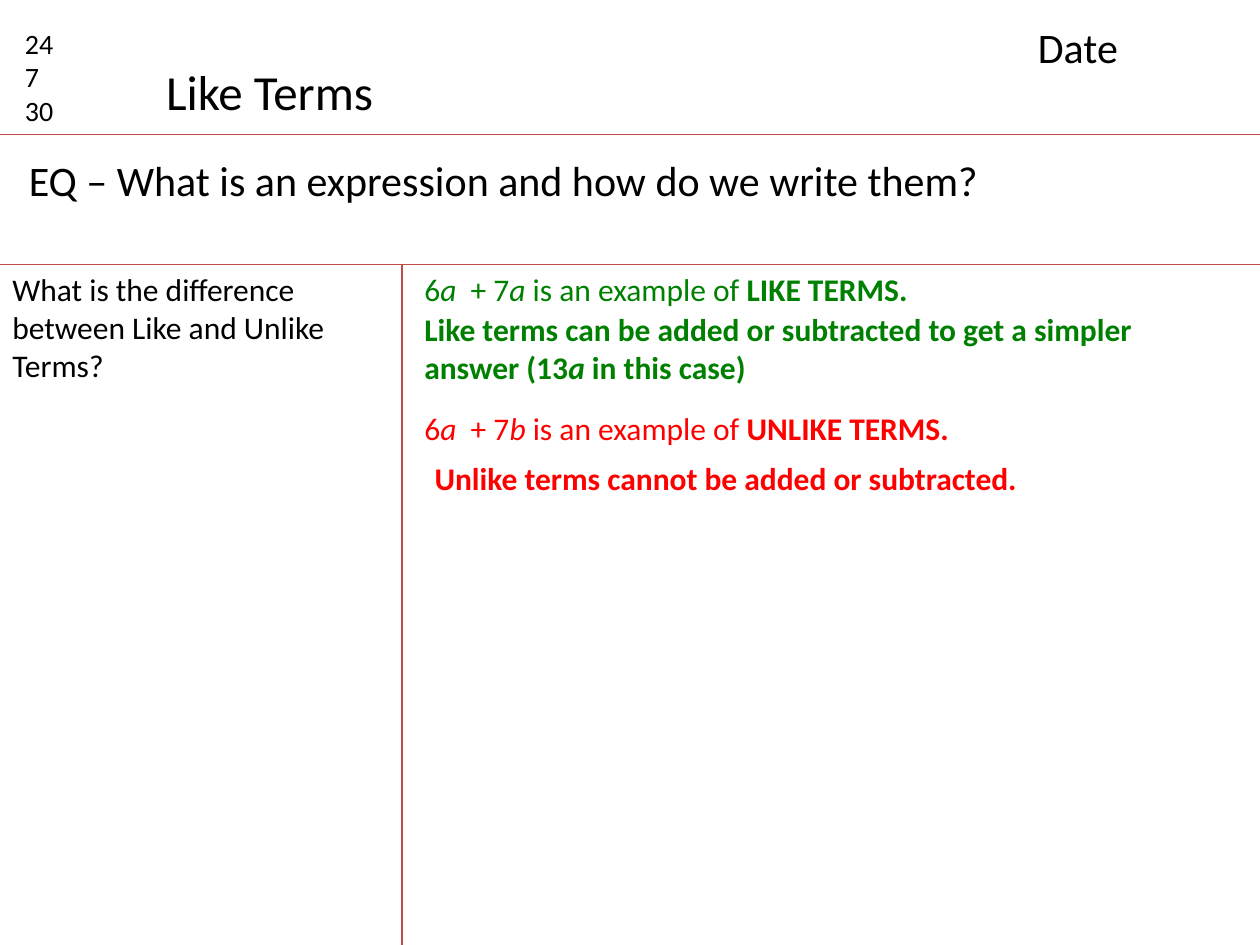
from pptx import Presentation
from pptx.dml.color import RGBColor
from pptx.enum.shapes import MSO_CONNECTOR
from pptx.enum.text import MSO_AUTO_SIZE
from pptx.oxml.ns import qn
from pptx.util import Pt
from lxml import etree

STRAIGHT = MSO_CONNECTOR.STRAIGHT
GROW = MSO_AUTO_SIZE.SHAPE_TO_FIT_TEXT

WIDE, HIGH = 720, 540
HEAD, BODY, SPLIT = 77, 151, 229.7
NOTE = 235.4
BLACK, GREEN, RED, RULE = "000000", "008000", "FF0000", "BF4C48"


def color(code):
    return RGBColor.from_string(code)


class Page:
    face = "Calibri"

    def __init__(self, slide):
        self.slide = slide

    def line(self, x1, y1, x2, y2):
        rule = self.slide.shapes.add_connector(
            STRAIGHT, Pt(x1), Pt(y1), Pt(x2), Pt(y2))
        rule.line.color.rgb = color(RULE)
        rule.line.width = Pt(0.75)
        etree.SubElement(rule._element.spPr, qn("a:effectLst"))

    def text(self, box, paras, size, ink=BLACK, wrap=True):
        """Each paragraph is a list of (words, marks); marks hold b and i."""
        shape = self.slide.shapes.add_textbox(*map(Pt, box))
        frame = shape.text_frame
        frame.word_wrap = wrap
        frame.auto_size = GROW
        for n, runs in enumerate(paras):
            para = frame.add_paragraph() if n else frame.paragraphs[0]
            for words, marks in runs:
                run = para.add_run()
                run.text = words
                style = {"name": self.face, "size": Pt(size),
                         "bold": "b" in marks, "italic": "i" in marks}
                for key, value in style.items():
                    setattr(run.font, key, value)
                run.font.color.rgb = color(ink)

    def sample(self, top, width, letter, kind, ink):
        """Show a sum of two terms and name its kind."""
        runs = [("6", ""), ("a", "i"), ("  + 7", ""), (letter, "i"),
                (" is an example of ", ""), (kind, "b")]
        self.text((NOTE, top, width, 29), [runs], 18, ink)


def main():
    deck = Presentation()
    deck.slide_width, deck.slide_height = Pt(WIDE), Pt(HIGH)
    page = Page(deck.slides.add_slide(deck.slide_layouts[6]))

    for y in (HEAD, BODY):
        page.line(0, y, WIDE, y)
    page.line(SPLIT, BODY, SPLIT, HIGH)

    page.text((7.2, 11.5, 45.4, 65.5),
              [[(num, "")] for num in ("24", "7", "30")], 16)
    page.text((87.8, 31.7, 134, 41), [[("Like Terms", "")]], 28, wrap=False)
    page.text((586, 8.6, 124.6, 36), [[("Date", "")]], 24)
    page.text((9.4, 85, 679, 36), [[(
        "EQ – What is an expression and how do we write them?", "")]], 24)
    page.text((0, BODY, SPLIT, 72.7), [[(
        "What is the difference between Like and Unlike Terms?", "")]], 18)

    page.sample(BODY, 295.2, "a", "LIKE TERMS.", GREEN)
    page.text((NOTE, 173.5, 471, 65.5), [[
        ("Like terms can be added or subtracted to get a simpler answer (13",
         "b"), ("a", "bi"), (" in this case)", "b")]], 18, GREEN)
    page.sample(230.4, 317.5, "b", "UNLIKE TERMS.", RED)
    page.text((241.2, 258.5, 351.4, 29), [[
        ("Unlike terms cannot be added or subtracted.", "b")]], 18, RED)

    deck.save("out.pptx")


if __name__ == "__main__":
    main()
